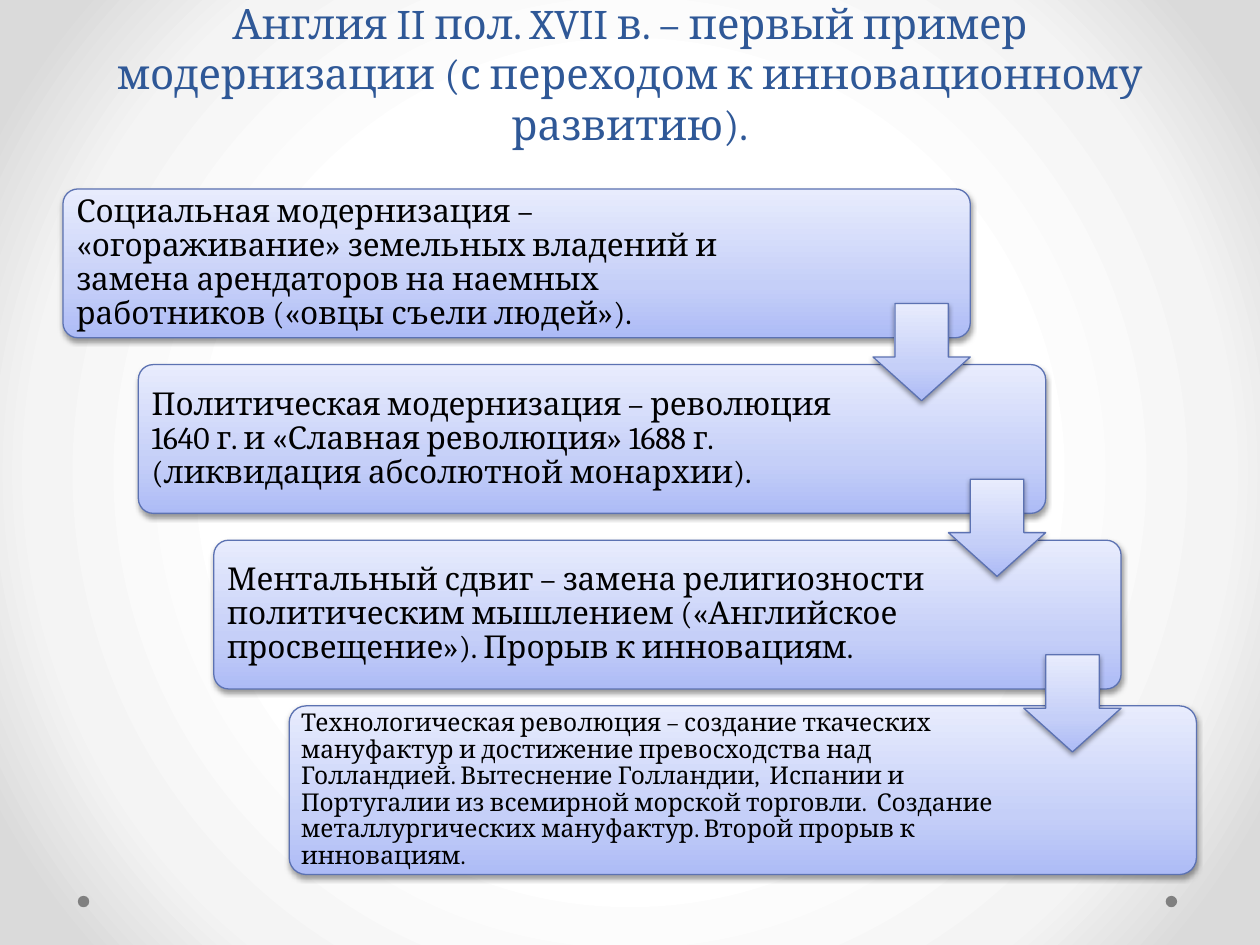
import pptx
import pptx.dml.color
import pptx.enum.shapes
import pptx.enum.text
import pptx.oxml
import pptx.oxml.ns
import pptx.util
from pptx.util import Cm

RGBColor = pptx.dml.color.RGBColor
MSO_SHAPE = pptx.enum.shapes.MSO_SHAPE
ANCHOR = pptx.enum.text.MSO_ANCHOR
ALIGN = pptx.enum.text.PP_ALIGN

FONT = "Cambria"
TITLE_BLUE = RGBColor(0x2F, 0x58, 0x97)
BLACK = RGBColor(0, 0, 0)
GRAY = RGBColor(0x80, 0x80, 0x80)
OUTLINE = RGBColor(0x5C, 0x72, 0xB2)
PANEL_STOPS = [
    (0, RGBColor(0xAD, 0xBB, 0xF6)),
    (35, RGBColor(0xC5, 0xCF, 0xF8)),
    (100, RGBColor(0xE8, 0xEC, 0xFD)),
]
BACKGROUND_STOPS = [
    (50, RGBColor(0xFF, 0xFF, 0xFF)),
    (76, RGBColor(0xF4, 0xF4, 0xF4)),
    (92, RGBColor(0xDA, 0xDA, 0xDA)),
]
LINEAR_UP = '<a:lin ang="16200000" scaled="0"/>'
CIRCLE = ('<a:path path="circle"><a:fillToRect l="50000" t="50000" '
          'r="50000" b="50000"/></a:path>')
NS = pptx.oxml.ns.nsdecls("a")

TITLE = ("Англия II пол. XVII в. – первый пример модернизации "
         "(с переходом к инновационному развитию).")
STEPS = [
    ("Социальная модернизация – «огораживание» земельных владений и замена "
     "арендаторов на наемных работников («овцы съели людей»).",
     18, 3.0, 14.81, 0.18),
    ("Политическая модернизация – революция 1640 г. и «Славная революция» "
     "1688 г. (ликвидация абсолютной монархии).",
     18, 3.0, 14.63, 0.18),
    ("Ментальный сдвиг – замена религиозности политическим мышлением "
     "(«Английское просвещение»). Прорыв к инновациям.",
     18, 3.0, 14.66, 0.18),
    ("Технологическая революция – создание ткаческих мануфактур и достижение "
     "превосходства над Голландией. Вытеснение Голландии,  Испании и "
     "Португалии из всемирной морской торговли.  Создание металлургических "
     "мануфактур. Второй прорыв к инновациям.",
     14, 3.4, 14.61, 0.15),
]
LEFT, TOP = 1.27, 3.81
STEP_X, STEP_Y = 1.52, 3.54
PANEL_W, PANEL_H = 18.29, 3.0
ARROW = 1.96
ARROW_DROP = 2.31
TEXT_GAP = 0.09


def set_gradient(parent, fill, stops, direction):
    fill.gradient()
    grad = parent.find(".//" + pptx.oxml.ns.qn("a:gradFill"))
    for child in list(grad):
        grad.remove(child)
    items = "".join(f'<a:gs pos="{pos * 1000}"><a:srgbClr val="{color}"/></a:gs>'
                    for pos, color in stops)
    xml = f"<a:gradFill {NS}><a:gsLst>{items}</a:gsLst>{direction}</a:gradFill>"
    for child in list(pptx.oxml.parse_xml(xml)):
        grad.append(child)


def add_shadow(sp):
    sp.shadow.inherit = False
    effects = sp.element.spPr.find(pptx.oxml.ns.qn("a:effectLst"))
    effects.append(pptx.oxml.parse_xml(
        f'<a:outerShdw {NS} blurRad="{pptx.util.Pt(3.1)}" '
        f'dist="{pptx.util.Pt(1.6)}" dir="5400000" rotWithShape="0">'
        '<a:srgbClr val="000000"><a:alpha val="38000"/></a:srgbClr>'
        '</a:outerShdw>'))


def add_glossy_shape(s, kind, x, y, w, h, adjustments):
    sp = s.shapes.add_shape(kind, Cm(x), Cm(y), Cm(w), Cm(h))
    for i, value in enumerate(adjustments):
        sp.adjustments[i] = value
    set_gradient(sp.element.spPr, sp.fill, PANEL_STOPS, LINEAR_UP)
    sp.line.color.rgb = OUTLINE
    sp.line.width = pptx.util.Pt(0.75)
    add_shadow(sp)


def add_text(s, text, x, y, w, h, size, color, anchor, align):
    tf = s.shapes.add_textbox(Cm(x), Cm(y), Cm(w), Cm(h)).text_frame
    tf.word_wrap = True
    tf.vertical_anchor = anchor
    p = tf.paragraphs[0]
    p.text = text
    p.alignment = align
    p.font.name = FONT
    p.font.size = pptx.util.Pt(size)
    p.font.color.rgb = color
    return tf


def add_step(s, x, y, text, size, height, text_width, inset):
    top = y - (height - PANEL_H) / 2
    add_glossy_shape(s, MSO_SHAPE.ROUNDED_RECTANGLE, x, top, PANEL_W, height, [0.1])
    tf = add_text(s, text, x + TEXT_GAP, top + TEXT_GAP, text_width,
                  height - 2 * TEXT_GAP, size, BLACK, ANCHOR.MIDDLE, ALIGN.LEFT)
    tf.margin_left = tf.margin_right = Cm(inset)
    tf.margin_top = tf.margin_bottom = Cm(inset)
    tf.paragraphs[0].line_spacing = 0.9


def add_dot(s, x):
    sp = s.shapes.add_shape(MSO_SHAPE.OVAL, Cm(x), Cm(18.06), Cm(0.23), Cm(0.23))
    sp.shadow.inherit = False
    sp.fill.solid()
    sp.fill.fore_color.rgb = GRAY
    sp.line.fill.background()


def main():
    prs = pptx.Presentation()
    prs.slide_width, prs.slide_height = Cm(25.4), Cm(19.05)
    s = prs.slides.add_slide(prs.slide_layouts[6])
    set_gradient(s.element, s.background.fill, BACKGROUND_STOPS, CIRCLE)
    for x in (23.5, 1.57):
        add_dot(s, x)
    add_text(s, TITLE, 1.27, 0.53, 22.86, 2.59, 24, TITLE_BLUE,
             ANCHOR.BOTTOM, ALIGN.CENTER)
    corners = [(LEFT + i * STEP_X, TOP + i * STEP_Y) for i in range(len(STEPS))]
    for (x, y), step in zip(corners, STEPS):
        add_step(s, x, y, *step)
    for x, y in corners[:-1]:
        add_glossy_shape(s, MSO_SHAPE.DOWN_ARROW, x + PANEL_W - ARROW,
                         y + ARROW_DROP, ARROW, ARROW, [0.55, 0.45])
    prs.save("out.pptx")


if __name__ == "__main__":
    main()
